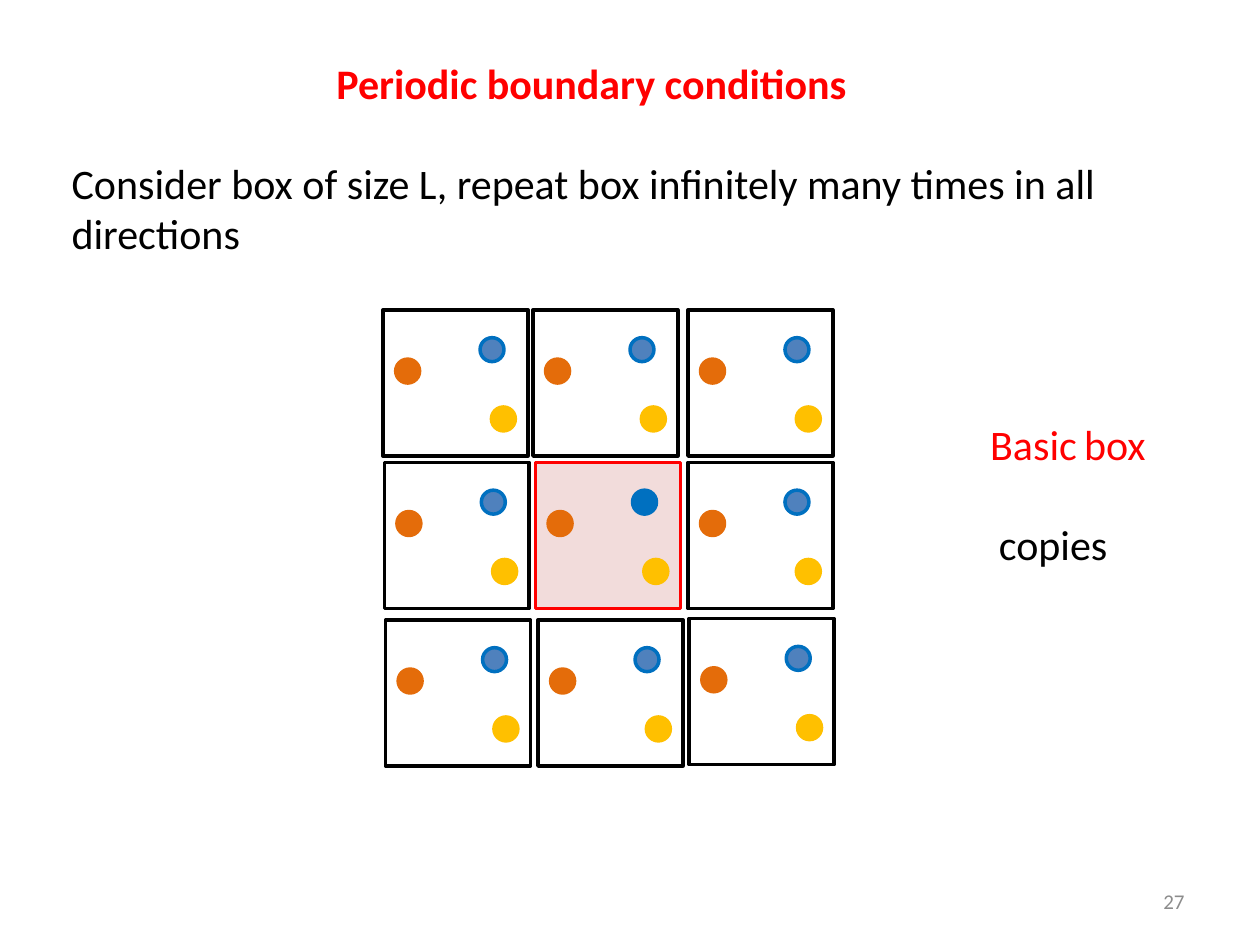
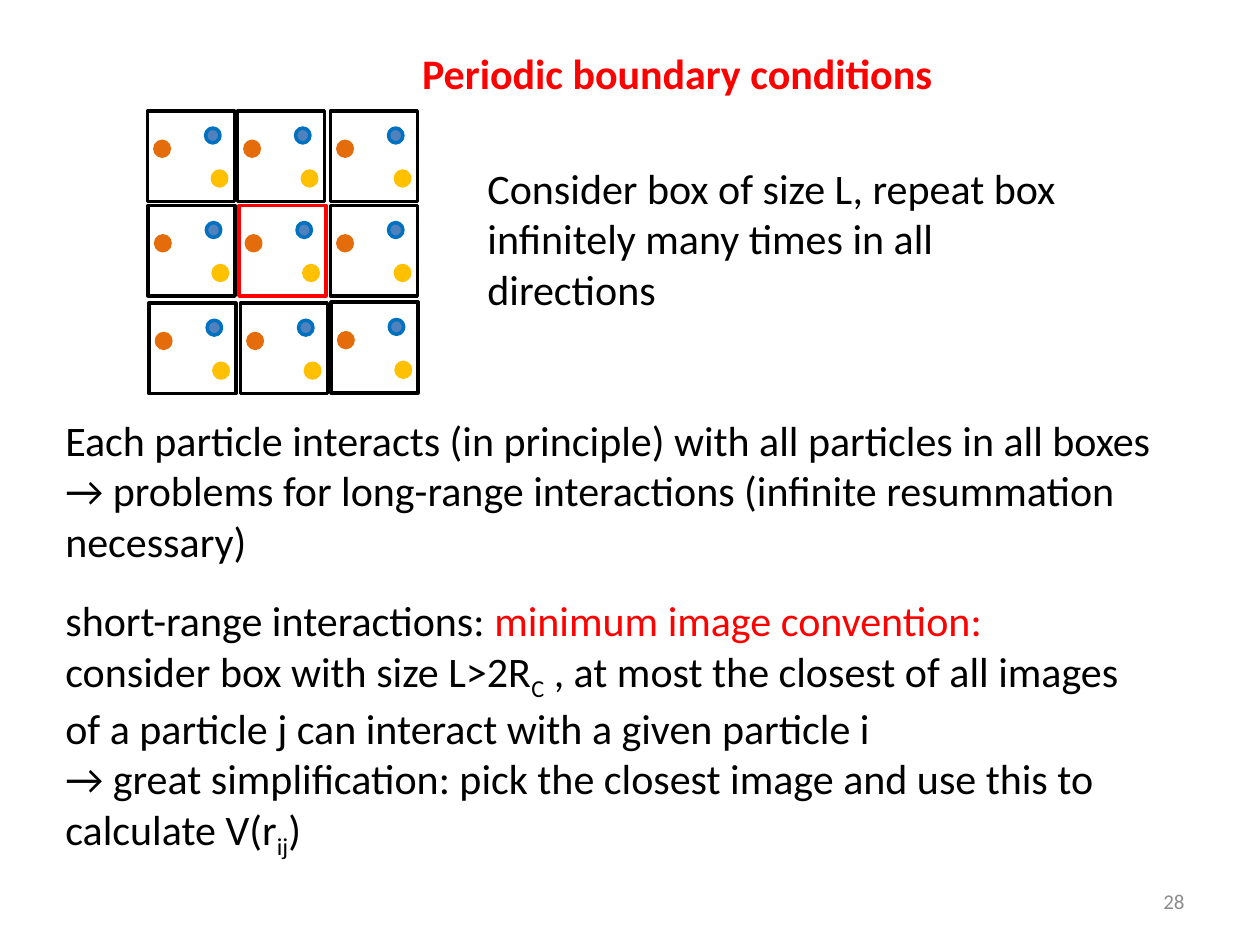
from dataclasses import dataclass

from pptx import Presentation
from pptx.dml.color import RGBColor
from pptx.enum.shapes import MSO_SHAPE
from pptx.enum.text import MSO_ANCHOR, MSO_AUTO_SIZE, PP_ALIGN
from pptx.util import Inches, Pt

RECT, DOT = MSO_SHAPE.RECTANGLE, MSO_SHAPE.OVAL
TOP, MIDDLE = MSO_ANCHOR.TOP, MSO_ANCHOR.MIDDLE
LEFT, RIGHT = PP_ALIGN.LEFT, PP_ALIGN.RIGHT
TITLE_ONLY = 5


@dataclass(frozen=True)
class Theme:
    font: str = "Calibri"
    body: int = 24
    gap: int = 18
    number: int = 12
    outline: int = 2
    black: str = "000000"
    white: str = "FFFFFF"
    red: str = "FF0000"
    pink: str = "F2DCDB"
    grey: str = "8C8C8C"
    blue: str = "0070C0"
    steel: str = "4F81BD"
    yellow: str = "FFC000"
    orange: str = "E46C0A"


THEME = Theme()
SUB = {"baseline": -25000}
RED = {"color": THEME.red}

# Content: a paragraph is a list of (text, style) runs
TITLE = "Periodic boundary conditions"
NUMBER_AREA = (7.17, 6.95, 2.33, 0.4)

SLIDES = [
    {
        "number": "27",
        "title_area": (2.57, 0.41, 4.86, 0.5),
        "lattice": {"origin": (3.04, 2.46), "scale": (1, 1),
                    "basic_fill": THEME.pink, "basic_dot": THEME.blue},
        "texts": [
            ((0.47, 1.2, 8.4, 0.91), False, [
                [("Consider box of size L, repeat box infinitely many times in all", {})],
                [("directions", {})]]),
            ((7.76, 3.27, 1.45, 0.5), False, [
                [("Basic", RED), (" ", {**RED, "size": THEME.gap}), ("box", RED)]]),
            ((7.83, 4.07, 1.07, 0.5), False, [[("copies", {})]]),
        ],
    },
    {
        "number": "28",
        "title_area": (3.25, 0.33, 4.41, 0.5),
        "lattice": {"origin": (1.17, 0.88), "scale": (0.6, 0.62),
                    "basic_fill": THEME.white, "basic_dot": THEME.steel},
        "texts": [
            ((3.77, 1.24, 5.03, 1.31), True, [
                [("Consider box of size L, repeat box infinitely many times in all directions", {})]]),
            ((0.42, 3.24, 8.9, 1.31), False, [
                [("Each particle interacts (in principle) with all particles in all boxes", {})],
                [("→ problems for long-range interactions (infinite resummation", {})],
                [("necessary)", {})]]),
            ((0.42, 4.67, 8.72, 2.12), False, [
                [("short-range interactions: ", {}), ("minimum image convention:", RED)],
                [("consider box with size L>2R", {}), ("C", SUB),
                 (" , at most the closest of all images", {})],
                [("of a particle j can interact with a given particle i", {})],
                [("→ great simplification: pick the closest image and use this to", {})],
                [("calculate V(r", {}), ("ij", SUB), (")", {})]]),
        ],
    },
]

# Lattice geometry at full size: box corners by row, particles within a box
BOX_SIZE = (1.15, 1.16)
BOX_ROWS = [
    [(0, 0), (1.19, 0), (2.42, 0)],
    [(0.01, 1.21), (1.21, 1.21), (2.42, 1.21)],
    [(0.02, 2.46), (1.23, 2.46), (2.43, 2.45)],
]
BASIC_BOX = (1, 1)
DOT_SIZE = 0.19
PARTICLES = [  # offset in the box, fill, outline
    ((0.77, 0.22), THEME.steel, THEME.blue),
    ((0.86, 0.77), THEME.yellow, THEME.yellow),
    ((0.1, 0.39), THEME.orange, THEME.orange),
]


def add_run(paragraph, text, size=THEME.body, color=THEME.black, bold=False, baseline=0):
    run = paragraph.add_run()
    run.text = text
    run.font.name, run.font.size, run.font.bold = THEME.font, Pt(size), bold
    run.font.color.rgb = RGBColor.from_string(color)
    if baseline:
        run._r.get_or_add_rPr().set("baseline", str(baseline))


def fill_text(shape, paragraphs, wrap=True, align=LEFT, anchor=TOP):
    frame = shape.text_frame
    frame.word_wrap, frame.vertical_anchor = wrap, anchor
    frame.auto_size = MSO_AUTO_SIZE.NONE
    for index, runs in enumerate(paragraphs):
        paragraph = frame.add_paragraph() if index else frame.paragraphs[0]
        paragraph.alignment = align
        for text, style in runs:
            add_run(paragraph, text, **style)


def add_text(slide, area, paragraphs, **layout):
    box = slide.shapes.add_textbox(*map(Inches, area))
    fill_text(box, paragraphs, **layout)


def add_title(slide, area):
    title = slide.shapes.title
    title.left, title.top, title.width, title.height = map(Inches, area)
    fill_text(title, [[(TITLE, {**RED, "bold": True})]])


def add_outlined(group, kind, area, fill, line):
    shape = group.shapes.add_shape(kind, *map(Inches, area))
    shape.shadow.inherit = False
    shape.fill.solid()
    shape.fill.fore_color.rgb = RGBColor.from_string(fill)
    shape.line.color.rgb = RGBColor.from_string(line)
    shape.line.width = Pt(THEME.outline)


def add_lattice(slide, origin, scale, basic_fill, basic_dot):
    (x0, y0), (sx, sy) = origin, scale
    group = slide.shapes.add_group_shape()
    for row, corners in enumerate(BOX_ROWS):
        for column, (dx, dy) in enumerate(corners):
            basic = (row, column) == BASIC_BOX
            x, y = x0 + dx * sx, y0 + dy * sy
            add_outlined(group, RECT, (x, y, BOX_SIZE[0] * sx, BOX_SIZE[1] * sy),
                         basic_fill if basic else THEME.white,
                         THEME.red if basic else THEME.black)
            for (px, py), fill, line in PARTICLES:
                if basic and fill == THEME.steel:
                    fill = basic_dot
                add_outlined(group, DOT, (x + px * sx, y + py * sy,
                                          DOT_SIZE * sx, DOT_SIZE * sy), fill, line)


def main():
    deck = Presentation()
    deck.slide_width, deck.slide_height = Inches(10), Inches(7.5)
    for content in SLIDES:
        slide = deck.slides.add_slide(deck.slide_layouts[TITLE_ONLY])
        add_title(slide, content["title_area"])
        add_lattice(slide, **content["lattice"])
        for area, wrap, paragraphs in content["texts"]:
            add_text(slide, area, paragraphs, wrap=wrap)
        number = [(content["number"], {"size": THEME.number, "color": THEME.grey})]
        add_text(slide, NUMBER_AREA, [number], align=RIGHT, anchor=MIDDLE)
    deck.save("out.pptx")


if __name__ == "__main__":
    main()
